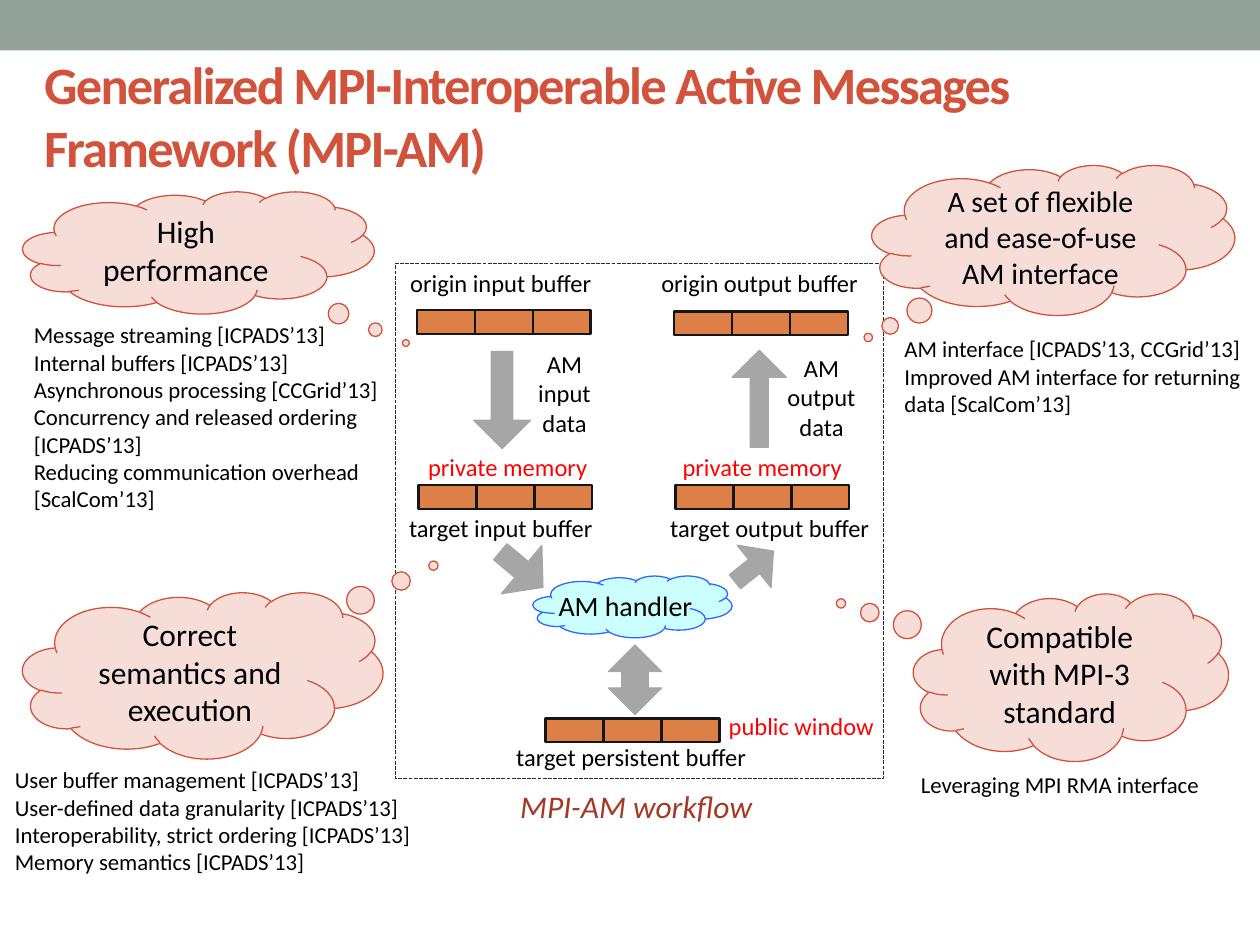
from lxml import etree
from pptx import Presentation
from pptx.dml.color import RGBColor
from pptx.enum.dml import MSO_LINE
from pptx.enum.shapes import MSO_SHAPE
from pptx.enum.text import MSO_ANCHOR, MSO_AUTO_SIZE, PP_ALIGN
from pptx.util import Inches, Pt

FONT = "Calibri"
BLACK = RGBColor(0x00, 0x00, 0x00)
RED = RGBColor(0xFF, 0x00, 0x00)
BANNER = RGBColor(0x93, 0xA2, 0x99)
BRICK = RGBColor(0xD2, 0x53, 0x3C)
DARK_BRICK = RGBColor(0xA5, 0x39, 0x26)
PALE_BRICK = RGBColor(0xF6, 0xDD, 0xD8)
ORANGE = RGBColor(0xDD, 0x80, 0x47)
CELL_EDGE = RGBColor(0x15, 0x15, 0x15)
FRAME_EDGE = RGBColor(0x29, 0x29, 0x34)
GRAY = RGBColor(0xA6, 0xA6, 0xA6)
CYAN = RGBColor(0xCA, 0xFF, 0xFE)
BLUE = RGBColor(0x33, 0x66, 0xFF)

CELL_WIDTH, CELL_HEIGHT, CELLS_PER_BUFFER = 0.46, 0.19, 3

BUFFERS = [(3.31, 2.46), (5.35, 2.47), (3.32, 3.85), (5.36, 3.85), (4.33, 5.7)]

# kind, box, adjustments, rotation
ARROWS = [
    (MSO_SHAPE.DOWN_ARROW, (3.76, 2.79, 0.45, 0.77), (0.38, 0.5), 0),
    (MSO_SHAPE.DOWN_ARROW, (5.81, 2.78, 0.43, 0.77), (0.33, 0.5), 180),
    (MSO_SHAPE.DOWN_ARROW, (3.89, 4.3, 0.5, 0.44), (0.33, 0.5), 309.9),
    (MSO_SHAPE.DOWN_ARROW, (5.77, 4.3, 0.43, 0.39), (0.33, 0.5), 231.4),
    (MSO_SHAPE.UP_DOWN_ARROW, (4.83, 5.12, 0.42, 0.55), (0.45, 0.5), 0),
]

WORKFLOW_LABELS = [
    ((4.07, 2.72, 0.82, 0.81), ["AM", "input data"], BLACK),
    ((6.11, 2.75, 0.82, 0.81), ["AM output data"], BLACK),
    ((5.65, 5.59, 1.42, 0.34), ["public window"], RED),
    ((3.05, 2.08, 1.85, 0.34), ["origin input buffer"], BLACK),
    ((5.06, 2.08, 1.94, 0.34), ["origin output buffer"], BLACK),
    ((3.05, 4.02, 1.85, 0.34), ["target input buffer"], BLACK),
    ((5.14, 4.02, 1.94, 0.34), ["target output buffer"], BLACK),
    ((3.81, 5.84, 2.4, 0.34), ["target persistent buffer"], BLACK),
    ((3.16, 3.54, 1.74, 0.34), ["private memory"], RED),
    ((5.23, 3.54, 1.64, 0.34), ["private memory"], RED),
]

# goal, cloud box, bubble tail, text size
GOALS = [
    ("A set of flexible and ease-of-use AM interface",
     (6.92, 1.31, 2.88, 1.19), (-0.51, 0.65), 17),
    ("High performance", (0.18, 1.52, 2.79, 0.97), (0.59, 0.74), 18),
    ("Correct semantics and execution",
     (0.18, 4.7, 2.86, 1.32), (0.64, -0.66), 18),
    ("Compatible with MPI-3 standard",
     (7.25, 4.71, 2.5, 1.33), (-0.73, -0.44), 18),
]

GOAL_DETAILS = [
    ((0.17, 2.5, 3.32, 1.63), [
        "Message streaming [ICPADS’13]",
        "Internal buffers [ICPADS’13]",
        "Asynchronous processing [CCGrid’13]",
        "Concurrency and released ordering [ICPADS’13]",
        "Reducing communication overhead [ScalCom’13]"]),
    ((0.02, 6.03, 3.66, 0.98), [
        "User buffer management [ICPADS’13]",
        "User-defined data granularity [ICPADS’13]",
        "Interoperability, strict ordering [ICPADS’13]",
        "Memory semantics [ICPADS’13]"]),
    ((7.08, 2.61, 2.92, 0.76), [
        "AM interface [ICPADS’13, CCGrid’13]",
        "Improved AM interface for returning data [ScalCom’13]"]),
    ((7.21, 6.07, 2.65, 0.32), ["Leveraging MPI RMA interface"]),
]


def inches(box):
    return [Inches(length) for length in box]


def write(frame, lines, size, color=BLACK, align=PP_ALIGN.LEFT):
    frame.text = "\n".join(lines)
    for paragraph in frame.paragraphs:
        paragraph.alignment = align
        for run in paragraph.runs:
            run.font.name = FONT
            run.font.size = Pt(size)
            run.font.color.rgb = color


def add_title(slide, text):
    title = slide.shapes.title
    title.left, title.top, title.width, title.height = inches((0.25, 0.37, 9.15, 1.08))
    frame = title.text_frame
    write(frame, [text], 30, BRICK)
    frame.word_wrap = True
    frame.auto_size = MSO_AUTO_SIZE.NONE
    frame.vertical_anchor = MSO_ANCHOR.MIDDLE
    run = frame.paragraphs[0].runs[0]
    run.font.bold = True
    run.font._element.set("spc", "-100")


def add_figure(slide, kind, box, fill=None, line=None, width=0.75, adjustments=()):
    figure = slide.shapes.add_shape(kind, *inches(box))
    figure.shadow.inherit = False
    for index, value in enumerate(adjustments):
        figure.adjustments[index] = value
    if fill is None:
        figure.fill.background()
    else:
        figure.fill.solid()
        figure.fill.fore_color.rgb = fill
    if line is None:
        figure.line.fill.background()
    else:
        figure.line.color.rgb = line
        figure.line.width = Pt(width)
    return figure


def add_label(slide, box, lines, size, color=BLACK, align=PP_ALIGN.LEFT):
    frame = slide.shapes.add_textbox(*inches(box)).text_frame
    frame.word_wrap = True
    write(frame, lines, size, color, align)
    return frame


def add_buffer(slide, left, top):
    """Draw a buffer as a row of touching cells."""
    for index in range(CELLS_PER_BUFFER):
        box = (left + index * CELL_WIDTH, top, CELL_WIDTH, CELL_HEIGHT)
        add_figure(slide, MSO_SHAPE.RECTANGLE, box, ORANGE, CELL_EDGE, 1.5)


def add_goal(slide, text, box, tail, size):
    cloud = add_figure(slide, MSO_SHAPE.CLOUD_CALLOUT, box, PALE_BRICK, BRICK,
                       adjustments=tail)
    cloud.text_frame.word_wrap = True
    cloud.text_frame.vertical_anchor = MSO_ANCHOR.MIDDLE
    write(cloud.text_frame, [text], size, align=PP_ALIGN.CENTER)


def add_workflow(slide):
    handler = add_figure(slide, MSO_SHAPE.CLOUD, (4.23, 4.57, 1.58, 0.49), CYAN, BLUE)
    handler.text_frame.word_wrap = False
    handler.text_frame.vertical_anchor = MSO_ANCHOR.MIDDLE
    write(handler.text_frame, ["AM handler"], 16, align=PP_ALIGN.CENTER)

    frame = add_figure(slide, MSO_SHAPE.RECTANGLE, (3.14, 2.09, 3.87, 4.09),
                       line=FRAME_EDGE)
    frame.line.dash_style = MSO_LINE.SQUARE_DOT

    for left, top in BUFFERS:
        add_buffer(slide, left, top)
    for kind, box, adjustments, rotation in ARROWS:
        arrow = add_figure(slide, kind, box, GRAY, GRAY, adjustments=adjustments)
        arrow.rotation = rotation
    for box, lines, color in WORKFLOW_LABELS:
        add_label(slide, box, lines, 14, color, PP_ALIGN.CENTER)

    caption = add_label(slide, (4.03, 6.2, 2.51, 0.4), ["MPI-AM workflow"], 18, DARK_BRICK)
    caption.paragraphs[0].runs[0].font.italic = True


def main():
    presentation = Presentation()
    presentation.slide_width, presentation.slide_height = Inches(10), Inches(7.5)
    slide = presentation.slides.add_slide(presentation.slide_layouts[5])

    add_figure(slide, MSO_SHAPE.RECTANGLE, (0, 0, 10, 0.4), BANNER)
    add_title(slide, "Generalized MPI-Interoperable Active Messages Framework (MPI-AM)")
    add_workflow(slide)
    for goal in GOALS:
        add_goal(slide, *goal)
    for box, lines in GOAL_DETAILS:
        add_label(slide, box, lines, 13)

    presentation.save("out.pptx")


if __name__ == "__main__":
    main()
